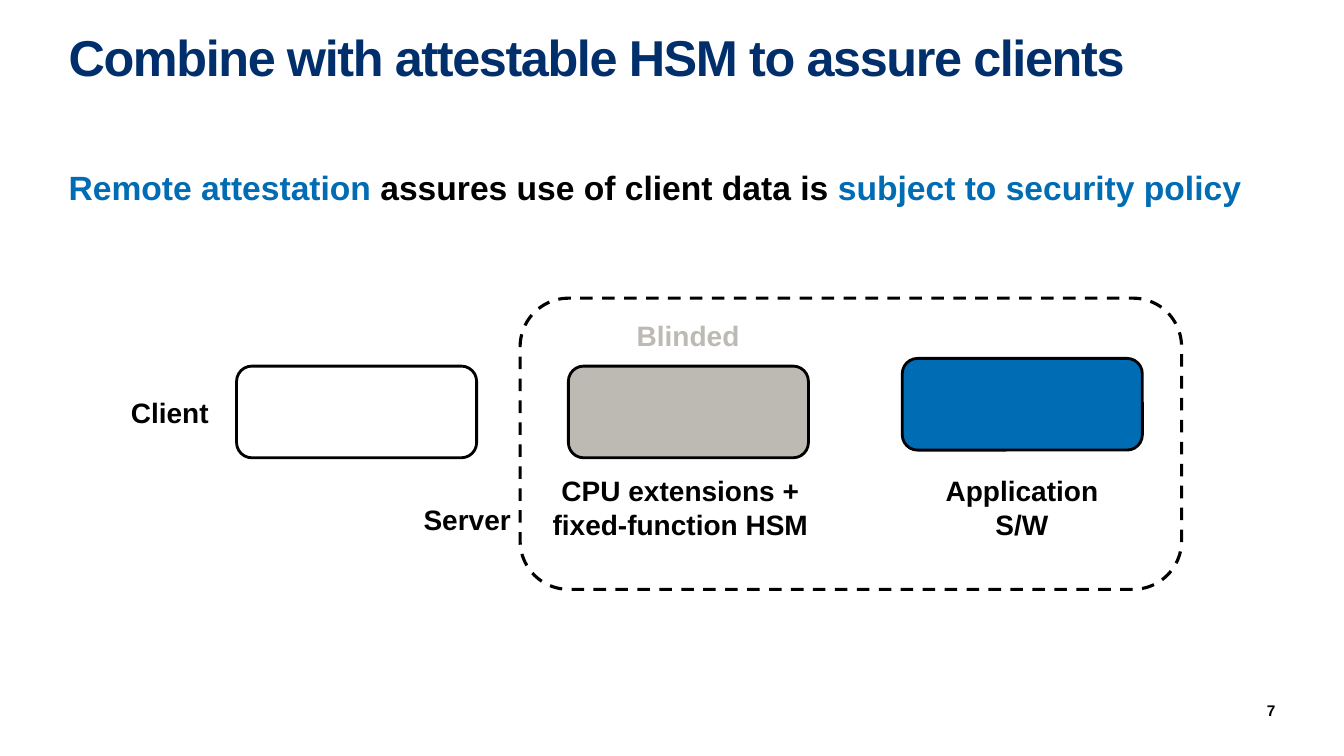
"""Build a slide on assuring clients with an attestable HSM."""
import pptx
import pptx.util
import pptx.dml.color
import pptx.enum.dml
import pptx.enum.shapes
import pptx.enum.text

Pt = pptx.util.Pt
Align = pptx.enum.text.PP_ALIGN
Anchor = pptx.enum.text.MSO_ANCHOR

NAVY, BLUE, GREY, BLACK, WHITE = "002F6C", "006CB4", "BDB9B3", "000000", "FFFFFF"
MARGIN, CONTENT_WIDTH = 49, 862
BLOCK_SIZE = (171.5, 65.5)

TITLE = "Combine with attestable HSM to assure clients"
MESSAGE = [
    ("Remote attestation", BLUE),
    (" assures use of client data is ", BLACK),
    ("subject to security policy", BLUE),
]
SERVER_FRAME = (371.5, 213, 472.5, 208)
BLOCKS = [
    (644.5, 256, BLUE),
    (169, 261.5, None),
    (406, 261.5, GREY),
]
LABELS = [
    ("Client", (93.5, 282.5, 56, 24), BLACK, Align.LEFT, False),
    ("Server", (302.5, 359, 63, 24), BLACK, Align.LEFT, False),
    ("CPU extensions +\vfixed-function HSM", (378, 338.5, 216, 48), BLACK, Align.CENTER, True),
    ("Application S/W", (661, 338.5, 138, 48), BLACK, Align.CENTER, True),
    ("Blinded", (416, 227.5, 151, 24), GREY, Align.CENTER, True),
]
PAGE_NUMBER = "7"


def color(value):
    return pptx.dml.color.RGBColor.from_string(value)


def set_text(box, spans, size, align=Align.LEFT, wrap=True, anchor=Anchor.TOP):
    frame = box.text_frame
    frame.margin_left = frame.margin_right = frame.margin_top = frame.margin_bottom = 0
    frame.word_wrap = wrap
    frame.auto_size = pptx.enum.text.MSO_AUTO_SIZE.NONE
    frame.vertical_anchor = anchor
    para = frame.paragraphs[0]
    para.alignment = align
    for words, tint in spans:
        start = len(para.runs)
        for index, line in enumerate(words.split("\v")):
            if index:
                para.add_line_break()
            para.add_run().text = line
        for span in para.runs[start:]:
            span.font.color.rgb = color(tint)
    para.font.name, para.font.size, para.font.bold = "Arial", Pt(size), True
    return para


def add_text(page, area, spans, size, **options):
    box = page.shapes.add_textbox(*map(Pt, area))
    return set_text(box, spans, size, **options)


def add_rounded(page, area, fill, width):
    kind = pptx.enum.shapes.MSO_SHAPE.ROUNDED_RECTANGLE
    shape = page.shapes.add_shape(kind, *map(Pt, area))
    shape.shadow.inherit = False
    if fill:
        shape.fill.solid()
        shape.fill.fore_color.rgb = color(fill)
    else:
        shape.fill.background()
    shape.line.color.rgb = color(BLACK)
    shape.line.width = Pt(width)
    return shape


def add_title(page):
    title = page.shapes.title
    title.left, title.top = Pt(MARGIN), Pt(25)
    title.width, title.height = Pt(CONTENT_WIDTH), Pt(94)
    para = set_text(title, [(TITLE, NAVY)], 36)
    para.line_spacing = 0.85
    for span in para.runs:
        span.font._element.set("spc", "-100")


def main():
    deck = pptx.Presentation()
    deck.slide_width, deck.slide_height = Pt(960), Pt(540)
    page = deck.slides.add_slide(deck.slide_layouts[5])
    server = add_rounded(page, SERVER_FRAME, WHITE, 2.25)
    server.line.dash_style = pptx.enum.dml.MSO_LINE.DASH
    add_title(page)
    add_text(page, (MARGIN, 119.5, CONTENT_WIDTH, 40), MESSAGE, 24)
    for left, top, fill in BLOCKS:
        add_rounded(page, (left, top, *BLOCK_SIZE), fill, 2)
    for words, area, tint, align, wrap in LABELS:
        add_text(page, area, [(words, tint)], 20, align=align, wrap=wrap)
    add_text(page, (848, 501, 63, 12.5), [(PAGE_NUMBER, BLACK)], 11,
             align=Align.RIGHT, anchor=Anchor.MIDDLE)
    deck.save("out.pptx")


if __name__ == "__main__":
    main()
